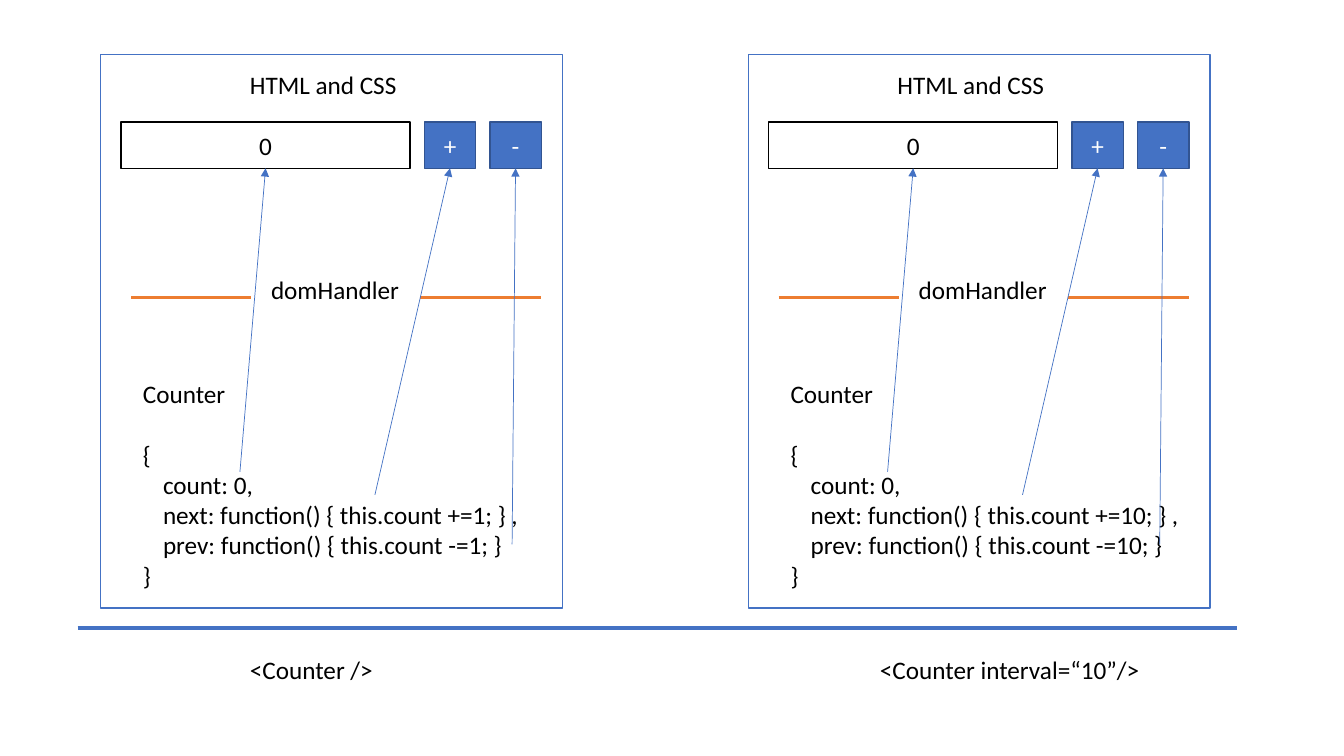
"""Build a slide showing two Counter components bound to their HTML by domHandler."""
from dataclasses import dataclass

from lxml import etree
from pptx import Presentation
from pptx.dml.color import RGBColor
from pptx.enum import shapes, text
from pptx.oxml import ns
from pptx.util import Pt

COLORS = {
    "white": "FFFFFF",
    "black": "000000",
    "blue": "4472C4",
    "navy": "325491",
    "orange": "ED7D31",
}
FONT = "Calibri"
FONT_SIZE = 18
BLANK_LAYOUT = 6
LABEL_HEIGHT = 28.8
CODE_INDENT = 14.4
CODE_GAP = 22
DIVIDER_Y = 212.4
CONTROLS_TOP = 87.1
CONTROLS_HEIGHT = 33.1
CONTROLS_BOTTOM = CONTROLS_TOP + CONTROLS_HEIGHT


@dataclass
class Control:
    """A box in the HTML part and the start of the arrow that points to it."""
    label: str
    left: float
    width: float
    fill: str
    outline: str
    ink: str
    arrow_x: float
    arrow_y: float


@dataclass
class Component:
    """One counter panel with its step, code width and caption."""
    offset: float
    step: int
    code_width: float
    caption: str
    caption_left: float
    caption_width: float


CONTROLS = [
    Control("0", 86.4, 206.6, "white", "black", "black", 171.4, 337),
    Control("+", 303.1, 36.7, "blue", "navy", "white", 267.8, 353.5),
    Control("-", 349.9, 36.7, "blue", "navy", "white", 365.8, 388.8),
]
COMPONENTS = [
    Component(0, 1, 285.8, "<Counter />", 171.4, 103.7),
    Component(462.6, 10, 295.2, "<Counter interval=“10”/>", 621.4, 202.3),
]
DIVIDERS = [(93.6, 179.3), (300.2, 386.6)]


def rgb(name: str) -> RGBColor:
    """Return the named colour."""
    return RGBColor.from_string(COLORS[name])


def add_words(paragraph, words: str, ink: str = "black") -> None:
    """Add one formatted run to a paragraph."""
    run = paragraph.add_run()
    run.text = words
    run.font.name = FONT
    run.font.size = Pt(FONT_SIZE)
    run.font.color.rgb = rgb(ink)


def add_box(slide, left: float, top: float, width: float, height: float,
            fill: str, outline: str):
    """Add a plain outlined rectangle."""
    box = slide.shapes.add_shape(shapes.MSO_SHAPE.RECTANGLE, Pt(left), Pt(top),
                                 Pt(width), Pt(height))
    box.shadow.inherit = False
    box.fill.solid()
    box.fill.fore_color.rgb = rgb(fill)
    box.line.color.rgb = rgb(outline)
    box.line.width = Pt(1)
    return box


def add_label(slide, left: float, top: float, width: float, height: float,
              lines: list[str]) -> list:
    """Add an unwrapped text box and return its paragraphs."""
    frame = slide.shapes.add_textbox(Pt(left), Pt(top), Pt(width), Pt(height)).text_frame
    frame.word_wrap = False
    frame.auto_size = text.MSO_AUTO_SIZE.SHAPE_TO_FIT_TEXT
    for index, line in enumerate(lines):
        paragraph = frame.add_paragraph() if index else frame.paragraphs[0]
        if line.startswith("\t"):
            add_tab_stop(paragraph)
        add_words(paragraph, line)
    return list(frame.paragraphs)


def add_tab_stop(paragraph) -> None:
    """Set the left tab stop for indented code."""
    properties = paragraph._p.get_or_add_pPr()
    stops = etree.SubElement(properties, ns.qn("a:tabLst"))
    etree.SubElement(stops, ns.qn("a:tab"), pos=str(Pt(CODE_INDENT)), algn="l")


def add_line(slide, start: tuple[float, float], end: tuple[float, float],
             color: str, width: float, arrow: bool = False) -> None:
    """Add a straight line, with a triangle at its end if wanted."""
    line = slide.shapes.add_connector(shapes.MSO_CONNECTOR.STRAIGHT,
                                      Pt(start[0]), Pt(start[1]), Pt(end[0]), Pt(end[1]))
    line.line.color.rgb = rgb(color)
    line.line.width = Pt(width)
    if arrow:
        etree.SubElement(line.line._get_or_add_ln(), ns.qn("a:tailEnd"), type="triangle")
    etree.SubElement(line._element.spPr, ns.qn("a:effectLst"))


def add_control(slide, control: Control, offset: float) -> None:
    """Add the counter field or one of its buttons."""
    box = add_box(slide, offset + control.left, CONTROLS_TOP, control.width,
                  CONTROLS_HEIGHT, control.fill, control.outline)
    box.text_frame.vertical_anchor = text.MSO_ANCHOR.MIDDLE
    paragraph = box.text_frame.paragraphs[0]
    paragraph.alignment = text.PP_ALIGN.CENTER
    add_words(paragraph, control.label, control.ink)


def add_component(slide, component: Component) -> None:
    """Add a panel with controls, dividers, code and arrows."""
    offset = component.offset
    add_box(slide, offset + 72, 38.9, 329.8, 395.3, "white", "blue")
    for control in CONTROLS:
        add_control(slide, control, offset)
    add_label(slide, offset + 171.4, 46.1, 120.2, LABEL_HEIGHT, ["HTML and CSS"])
    add_label(slide, offset + 186.5, 192.2, 107.3, LABEL_HEIGHT, ["domHandler"])
    for start, end in DIVIDERS:
        add_line(slide, (offset + start, DIVIDER_Y), (offset + end, DIVIDER_Y), "orange", 2.25)
    code = add_label(slide, offset + 95, 266.4, component.code_width, 159.8, [
        "Counter",
        "{",
        "\tcount: 0,",
        f"\tnext: function() {{ this.count +={component.step}; }} ,",
        f"\tprev: function() {{ this.count -={component.step}; }}",
        "}",
    ])
    code[1].space_before = Pt(CODE_GAP)
    for control in CONTROLS:
        target = offset + control.left + control.width / 2
        add_line(slide, (offset + control.arrow_x, control.arrow_y),
                 (target, CONTROLS_BOTTOM), "blue", 0.5, arrow=True)


def main() -> None:
    """Build and save the slide."""
    deck = Presentation()
    deck.slide_width, deck.slide_height = Pt(960), Pt(540)
    slide = deck.slides.add_slide(deck.slide_layouts[BLANK_LAYOUT])
    for component in COMPONENTS:
        add_component(slide, component)
    add_line(slide, (55.4, 448.6), (883.4, 448.6), "blue", 3)
    for component in COMPONENTS:
        add_label(slide, component.caption_left, 463.7, component.caption_width,
                  LABEL_HEIGHT, [component.caption])
    deck.save("out.pptx")


if __name__ == "__main__":
    main()
